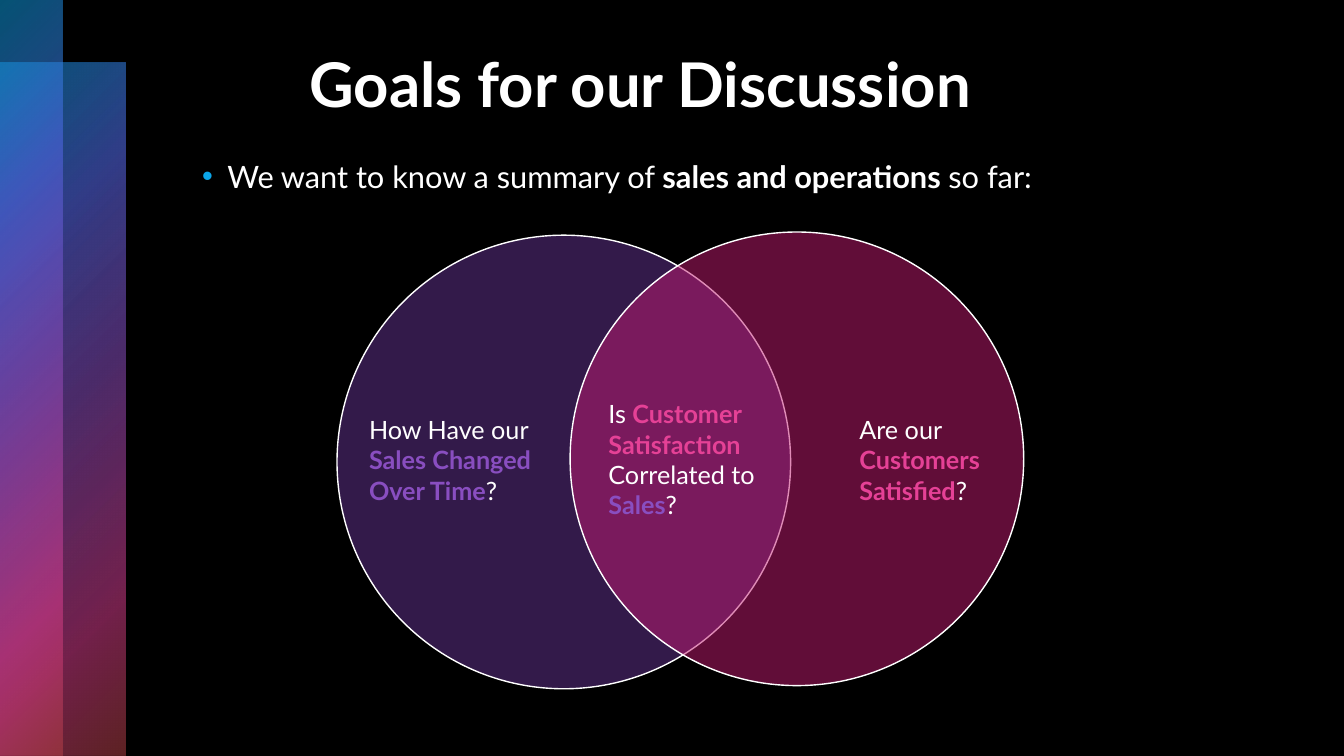
"""Build the discussion goals slide with its two-circle Venn diagram."""
from pptx import Presentation
from pptx.dml.color import RGBColor
from pptx.enum.shapes import MSO_SHAPE
from pptx.enum.text import MSO_ANCHOR, MSO_AUTO_SIZE, PP_ALIGN
from pptx.oxml import parse_xml
from pptx.oxml.ns import nsdecls, qn
from pptx.util import Pt

RECT, OVAL = MSO_SHAPE.RECTANGLE, MSO_SHAPE.OVAL
TOP, LEFT = MSO_ANCHOR.TOP, PP_ALIGN.LEFT
FIXED, GROW = MSO_AUTO_SIZE.NONE, MSO_AUTO_SIZE.SHAPE_TO_FIT_TEXT
PX = 9525
THEME = {
    "font": "Lato", "title": 44, "body": 22, "label": 18,
    "back": "000000", "text": "FFFFFF", "bullet": "0BA5E8",
    "sales": "894EC0", "client": "E54196",
    "left": "673595", "right": "C21B71",
    "fade": ["0BA5E8", "5066E1", "894EC0", "E54196", "BE4449"],
}


def place(shape, x, y, w, h):
    """Set the box of a shape in px."""
    shape.left, shape.top, shape.width, shape.height = x * PX, y * PX, w * PX, h * PX


def write(shape, size, runs, fit):
    """Fill a text shape with (text, colour key, bold) runs."""
    frame = shape.text_frame
    frame.word_wrap = True
    frame.auto_size = fit
    frame.vertical_anchor = TOP
    para = frame.paragraphs[0]
    para.alignment = LEFT
    for text, color, bold in runs:
        run = para.add_run()
        run.text = text
        run.font.name = THEME["font"]
        run.font.size = Pt(THEME[size])
        run.font.bold = bold
        run.font.color.rgb = RGBColor.from_string(THEME[color])
    return para


deck = Presentation()
deck.slide_width, deck.slide_height = 1280 * PX, 720 * PX
slide = deck.slides.add_slide(deck.slide_layouts[1])
slide.background.fill.solid()
slide.background.fill.fore_color.rgb = RGBColor.from_string(THEME["back"])

for box, mid in [((0, 60, 119, 660), 50), ((0, 0, 60, 720), 49)]:
    bar = slide.shapes.add_shape(RECT, 0, 0, PX, PX)
    place(bar, *box)
    bar.shadow.inherit = False
    bar.line.fill.background()
    bar.fill.background()
    stops = "".join(
        f'<a:gs pos="{pos}000"><a:srgbClr val="{color}"><a:alpha val="{alpha}000"/></a:srgbClr></a:gs>'
        for pos, color, alpha in zip([0, 25, mid, 81, 99], THEME["fade"], [50, 60, 55, 50, 50])
    )
    fade = parse_xml(
        f'<a:gradFill {nsdecls("a")} rotWithShape="1"><a:gsLst>{stops}</a:gsLst>'
        '<a:path path="circle"><a:fillToRect r="100000" b="100000"/></a:path></a:gradFill>'
    )
    props = bar.element.spPr
    props.replace(props.find(qn("a:noFill")), fade)

title = slide.shapes.title
place(title, 285, 39, 736, 163)
write(title, "title", [("Goals for our Discussion", "text", True)], FIXED)

body = slide.placeholders[1]
place(body, 183, 142, 996, 71)
para = write(body, "body", [
    ("We want to know a summary of ", "text", False),
    ("sales and operations ", "text", True),
    ("so far:", "text", False),
], FIXED)
para.line_spacing = 1.1
para.space_before = Pt(12)
props = para._p.get_or_add_pPr()
props.set("marL", str(24 * PX))
props.set("indent", str(-24 * PX))
for mark in [
    f'<a:buClr {nsdecls("a")}><a:srgbClr val="{THEME["bullet"]}"/></a:buClr>',
    f'<a:buFont {nsdecls("a")} typeface="Arial"/>',
    f'<a:buChar {nsdecls("a")} char="•"/>',
]:
    props.append(parse_xml(mark))

venn = slide.shapes.add_group_shape()
for x, y, color in [(321, 224, "left"), (543, 221, "right")]:
    disc = venn.shapes.add_shape(OVAL, x * PX, y * PX, 432 * PX, 432 * PX)
    disc.shadow.inherit = False
    disc.fill.solid()
    disc.fill.fore_color.rgb = RGBColor.from_string(THEME[color])
    tint = disc.element.spPr.find(qn("a:solidFill")).find(qn("a:srgbClr"))
    tint.append(parse_xml(f'<a:alpha {nsdecls("a")} val="50000"/>'))
    disc.line.color.rgb = RGBColor.from_string(THEME["text"])
    disc.line.width = Pt(1)

labels = [
    ((342, 390, 212, 126), [
        ("How Have our ", "text", False),
        ("Sales Changed Over Time", "sales", True),
        ("?", "text", False),
    ]),
    ((809, 390, 212, 97), [
        ("Are our ", "text", False),
        ("Customers Satisfied", "client", True),
        ("?", "text", False),
    ]),
    ((570, 375, 180, 126), [
        ("Is ", "text", False),
        ("Customer Satisfaction ", "client", True),
        ("Correlated to ", "text", False),
        ("Sales", "sales", True),
        ("?", "text", False),
    ]),
]
for box, runs in labels:
    label = venn.shapes.add_textbox(*(n * PX for n in box))
    write(label, "label", runs, GROW)

deck.save("out.pptx")
